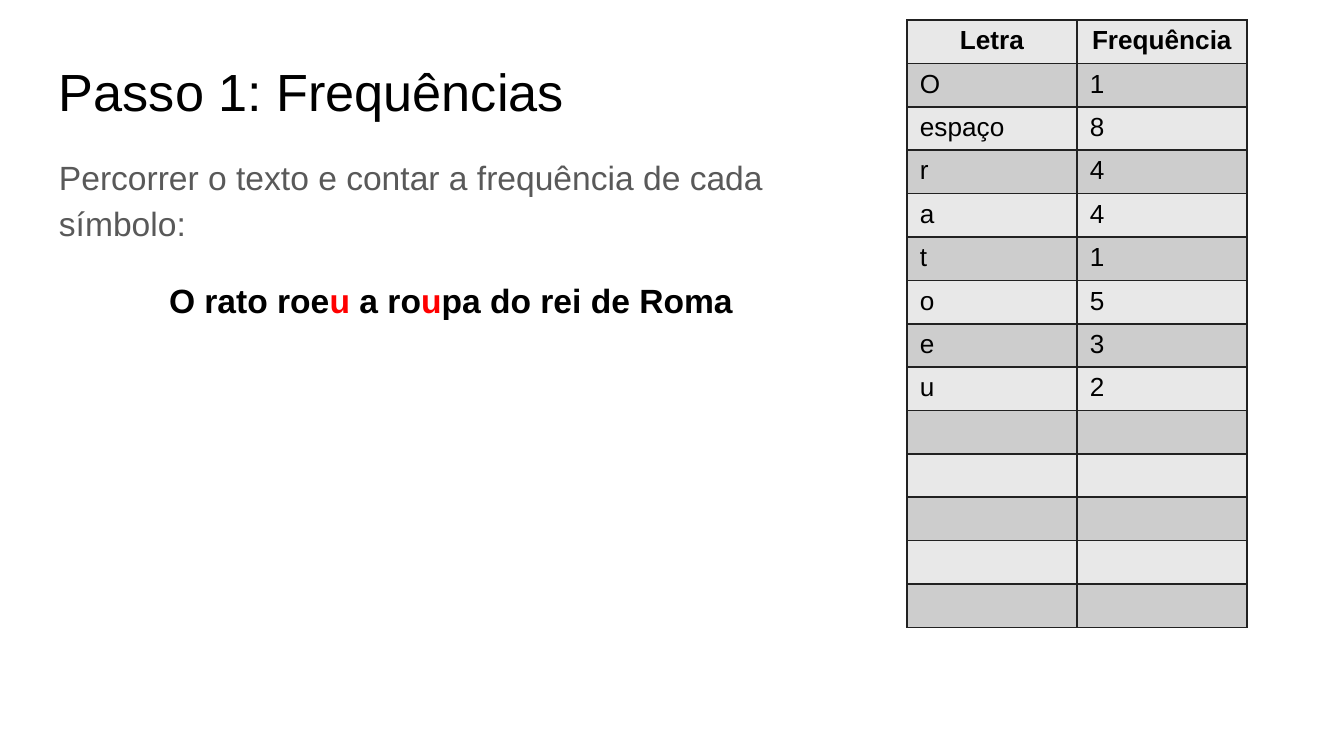
"""Build the slide on counting letter frequencies."""
from lxml import etree
from pptx import Presentation
from pptx.dml.color import RGBColor
from pptx.enum.text import PP_ALIGN
from pptx.oxml.ns import qn
from pptx.util import Emu, Pt

CENTER = PP_ALIGN.CENTER
LEFT = PP_ALIGN.LEFT
PX = 914400 / 134.4
FONT = "Arial"
COLORS = {
    "black": "000000",
    "gray": "595959",
    "red": "FF0000",
    "light": "E8E8E8",
    "dark": "CDCDCD",
    "border": "212121",
}
BORDERS = ("a:lnL", "a:lnR", "a:lnT", "a:lnB")


def px(n):
    return Emu(round(n * PX))


def format_run(r, size, color, bold=False):
    r.font.name = FONT
    r.font.size = Pt(size)
    r.font.bold = bold
    r.font.color.rgb = RGBColor.from_string(COLORS[color])


prs = Presentation()
prs.slide_width = px(1344)
prs.slide_height = px(756)
s = prs.slides.add_slide(prs.slide_layouts[6])

frames = []
for box in ((46, 46, 1252, 85), (46, 138, 810, 617)):
    tf = s.shapes.add_textbox(*map(px, box)).text_frame
    tf.word_wrap = True
    tf.margin_left = tf.margin_right = tf.margin_top = tf.margin_bottom = px(13)
    frames.append(tf)
title, body = frames

title.text = "Passo 1: Frequências"
format_run(title.paragraphs[0].runs[0], 28, "black")

body.text = "Percorrer o texto e contar a frequência de cada símbolo:"
p = body.paragraphs[0]
p.line_spacing = 1.15
format_run(p.runs[0], 18, "gray")

p = body.add_paragraph()
p.alignment = CENTER
p.line_spacing = 1.15
p.space_before = Pt(16)
phrase = (
    ("O rato roe", "black"),
    ("u", "red"),
    (" a ro", "black"),
    ("u", "red"),
    ("pa do rei de Roma", "black"),
)
for text, color in phrase:
    r = p.add_run()
    r.text = text
    format_run(r, 18, color, True)

rows = [
    ("Letra", "Frequência"),
    ("O", "1"),
    ("espaço", "8"),
    ("r", "4"),
    ("a", "4"),
    ("t", "1"),
    ("o", "5"),
    ("e", "3"),
    ("u", "2"),
] + [("", "")] * 5
row_h, col_w = 43, 170
table = s.shapes.add_table(
    len(rows), 2, px(907), px(20), px(2 * col_w), px(len(rows) * row_h)
).table
for col in table.columns:
    col.width = px(col_w)
for i, row in enumerate(rows):
    table.rows[i].height = px(row_h)
    for j, text in enumerate(row):
        cell = table.cell(i, j)
        cell.margin_left = cell.margin_right = px(13)
        cell.margin_top = cell.margin_bottom = px(6)
        tcPr = cell._tc.get_or_add_tcPr()
        for tag in BORDERS:
            ln = etree.SubElement(tcPr, qn(tag), w=str(Pt(1)))
            fill = etree.SubElement(ln, qn("a:solidFill"))
            etree.SubElement(fill, qn("a:srgbClr"), val=COLORS["border"])
        cell.fill.solid()
        shade = "dark" if i % 2 else "light"
        cell.fill.fore_color.rgb = RGBColor.from_string(COLORS[shade])
        p = cell.text_frame.paragraphs[0]
        p.alignment = LEFT if i else CENTER
        if text:
            p.text = text
            format_run(p.runs[0], 14, "black", i == 0)
        else:
            etree.SubElement(p._p, qn("a:endParaRPr"), sz="1400")

prs.save("out.pptx")
